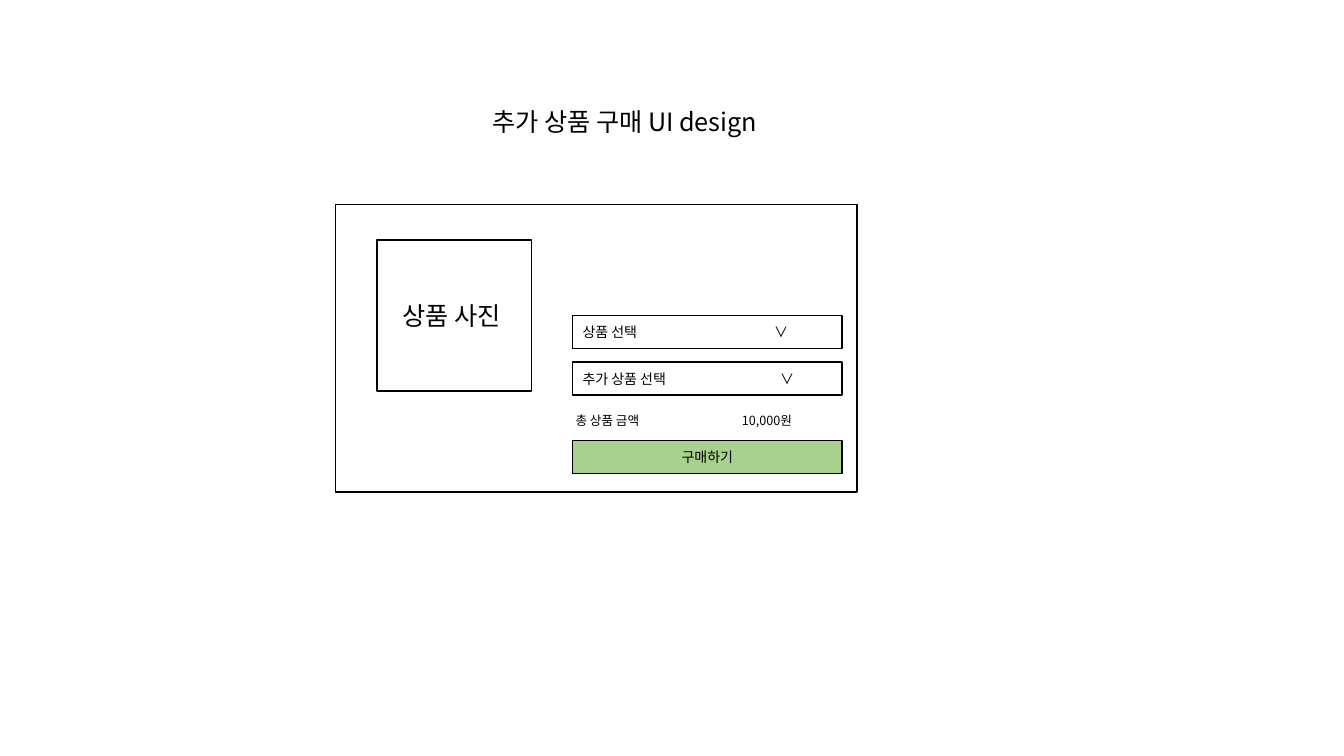
"""Build a wireframe slide for buying an additional product."""
from lxml import etree
from pptx import Presentation
from pptx.dml.color import RGBColor
from pptx.enum.shapes import MSO_SHAPE
from pptx.enum.text import MSO_ANCHOR, PP_ALIGN
from pptx.oxml.ns import qn
from pptx.util import Inches, Pt

RECT = MSO_SHAPE.RECTANGLE
MIDDLE, TOP = MSO_ANCHOR.MIDDLE, MSO_ANCHOR.TOP
LEFT, CENTER = PP_ALIGN.LEFT, PP_ALIGN.CENTER
BLACK = RGBColor(0x00, 0x00, 0x00)
WHITE = RGBColor(0xFF, 0xFF, 0xFF)
GREEN = RGBColor(0xA9, 0xD1, 0x8E)
FONT = "Noto Sans CJK KR"


def write(shape, text, size=10, align=LEFT, anchor=MIDDLE, tab=None):
    frame = shape.text_frame
    frame.word_wrap = True
    frame.vertical_anchor = anchor
    para = frame.paragraphs[0]
    para.alignment = align
    run = para.add_run()
    run.text = text
    font = run.font
    font.name, font.size = FONT, Pt(size)
    font.color.rgb = BLACK
    etree.SubElement(font._element, qn("a:ea"), typeface=FONT)
    if tab:
        stops = etree.SubElement(para._p.get_or_add_pPr(), qn("a:tabLst"))
        etree.SubElement(stops, qn("a:tab"), pos=str(Inches(tab)), algn="l")


def draw_box(left, top, width, height, fill=WHITE):
    box = slide.shapes.add_shape(
        RECT, Inches(left), Inches(top), Inches(width), Inches(height))
    box.shadow.inherit = False
    box.fill.solid()
    box.fill.fore_color.rgb = fill
    box.line.color.rgb = BLACK
    box.line.width = Pt(1)
    return box


deck = Presentation()
deck.slide_width, deck.slide_height = Inches(13.33), Inches(7.5)
slide = deck.slides.add_slide(deck.slide_layouts[6])

draw_box(3.33, 2.03, 5.17, 2.85)

fields = [
    (3.13, "상품 선택\t∨", WHITE, LEFT, 1.9),
    (3.59, "추가 상품 선택\t∨", WHITE, LEFT, 1.96),
    (4.37, "구매하기", GREEN, CENTER, None),
]
for top, text, fill, align, tab in fields:
    field = draw_box(5.68, top, 2.67, 0.33, fill)
    write(field, text, align=align, tab=tab)

photo = draw_box(3.74, 2.38, 1.53, 1.5)
write(photo, "상품 사진 ", size=18, align=CENTER)

total = slide.shapes.add_textbox(
    Inches(5.61), Inches(4.05), Inches(2.67), Inches(0.25))
write(total, "총 상품 금액\t10,000원", size=9, anchor=TOP, tab=1.65)

title = slide.shapes.add_textbox(
    Inches(1.64), Inches(1.01), Inches(9.11), Inches(0.4))
write(title, "추가 상품 구매 UI design", size=18, align=CENTER, anchor=TOP)

deck.save("out.pptx")
